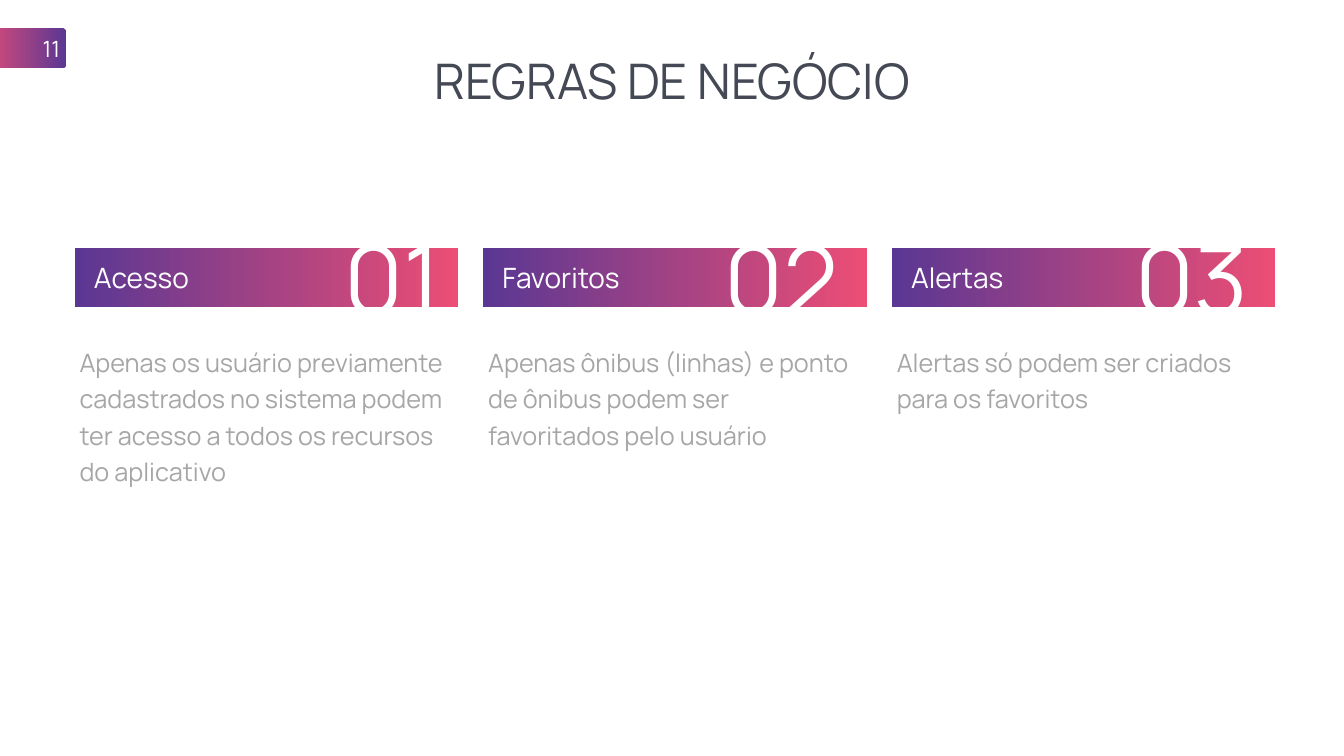
from pptx import Presentation
from pptx.dml.color import RGBColor
from pptx.enum.shapes import MSO_SHAPE
from pptx.enum.text import MSO_ANCHOR, PP_ALIGN
from pptx.util import Pt

RECTANGLE = MSO_SHAPE.RECTANGLE
ROUNDED = MSO_SHAPE.ROUNDED_RECTANGLE
LEFT, CENTER, RIGHT = PP_ALIGN.LEFT, PP_ALIGN.CENTER, PP_ALIGN.RIGHT
MIDDLE = MSO_ANCHOR.MIDDLE

FONT = "Manrope"
WHITE, DARK, GRAY = "FFFFFF", "444955", "A6A6A6"
PURPLE, PINK = "5A3793", "EC4E75"

CARD_LEFT, CARD_STEP, CARD_WIDTH = 106.5, 583.6, 548
BAR_TOP, BAR_HEIGHT = 354.25, 85

RULES = [
    ("01", "Acesso", "Apenas os usuário previamente cadastrados no sistema podem "
     "ter acesso a todos os recursos do aplicativo", 304, 211.5),
    ("02", "Favoritos", "Apenas ônibus (linhas) e ponto de ônibus podem ser "
     "favoritados pelo usuário", 287.5, 160),
    ("03", "Alertas", "Alertas só podem ser criados para os favoritos", 288.5, 107.5),
]


def color(value):
    return RGBColor.from_string(value)


def write(shape, text, size, text_color, align=LEFT, line_spacing=None):
    shape.text_frame.word_wrap = True
    paragraph = shape.text_frame.paragraphs[0]
    paragraph.text = text
    paragraph.alignment = align
    paragraph.line_spacing = line_spacing
    paragraph.font.name = FONT
    paragraph.font.size = Pt(size)
    paragraph.font.color.rgb = color(text_color)


def add_text(slide, box, text, size, text_color, align=LEFT, line_spacing=None):
    shape = slide.shapes.add_textbox(*map(Pt, box))
    write(shape, text, size, text_color, align, line_spacing)


def add_gradient_shape(slide, kind, box, angle):
    shape = slide.shapes.add_shape(kind, *map(Pt, box))
    shape.shadow.inherit = False
    shape.line.fill.background()
    shape.fill.gradient()
    shape.fill.gradient_angle = angle
    for stop, value in zip(shape.fill.gradient_stops, (PURPLE, PINK)):
        stop.color.rgb = color(value)
    return shape


def add_rule(slide, left, number, title, description, number_offset, description_height):
    add_text(slide, (left, 484, CARD_WIDTH, description_height),
             description, 36, GRAY, line_spacing=1.2)
    add_gradient_shape(slide, RECTANGLE, (left, BAR_TOP, CARD_WIDTH, BAR_HEIGHT), 0)
    add_text(slide, (left + 20.5, 368.75, 227, 55.5), title, 40, WHITE)
    add_text(slide, (left + number_offset, 309, 227, 174), number, 138, WHITE, RIGHT)


def add_page_badge(slide, number):
    badge = add_gradient_shape(slide, ROUNDED, (-36.75, 40.25, 131.75, 57.5), 180)
    badge.adjustments[0] = 0.11
    badge.text_frame.vertical_anchor = MIDDLE
    write(badge, number, 32, WHITE, RIGHT)


def main():
    presentation = Presentation()
    presentation.slide_width = Pt(1919.5)
    presentation.slide_height = Pt(1080)
    slide = presentation.slides.add_slide(presentation.slide_layouts[6])
    add_text(slide, (473, 69, 973.5, 94.5), "REGRAS DE NEGÓCIO", 70, DARK, CENTER)
    for index, rule in enumerate(RULES):
        add_rule(slide, CARD_LEFT + index * CARD_STEP, *rule)
    add_page_badge(slide, "11")
    presentation.save("out.pptx")


if __name__ == "__main__":
    main()
